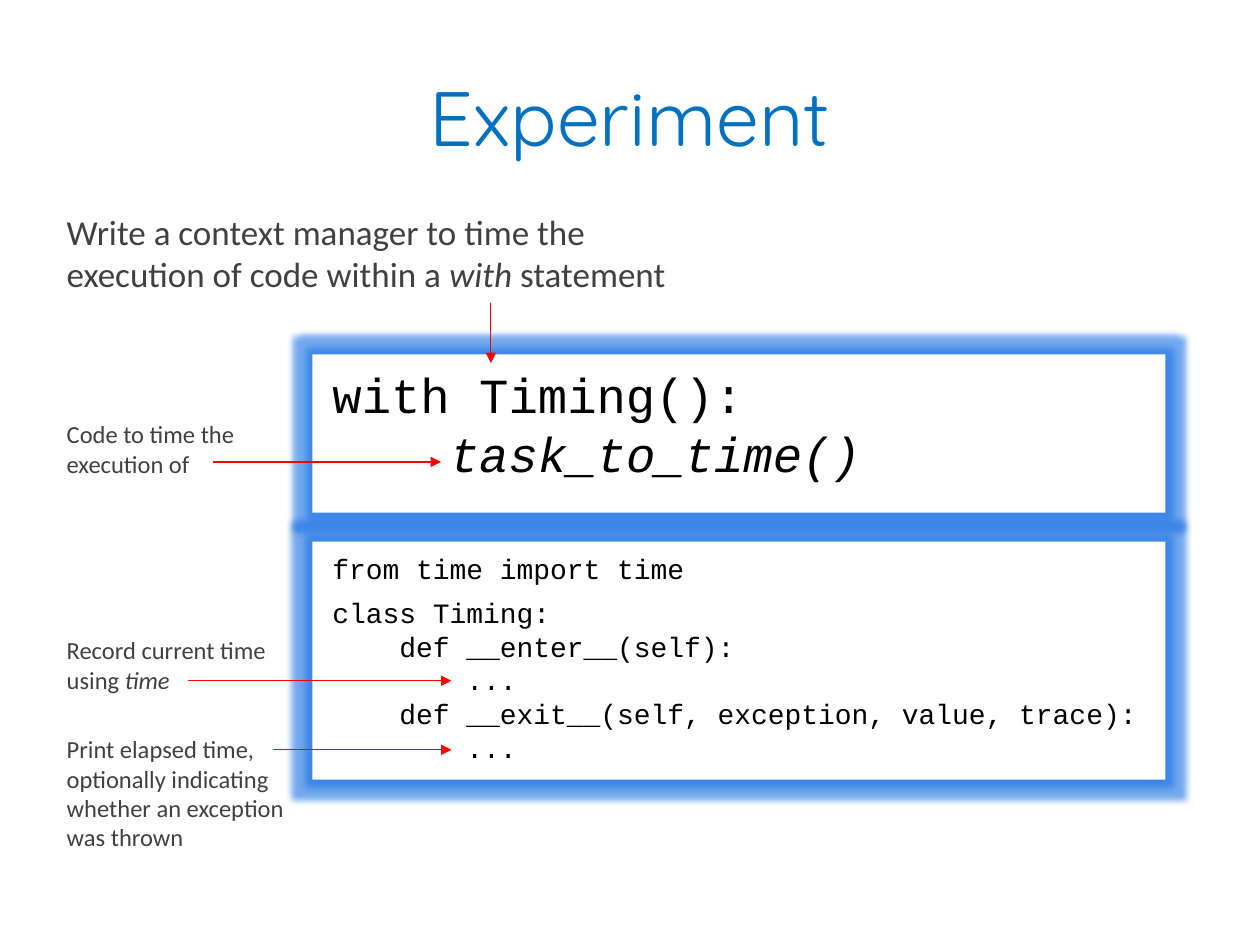
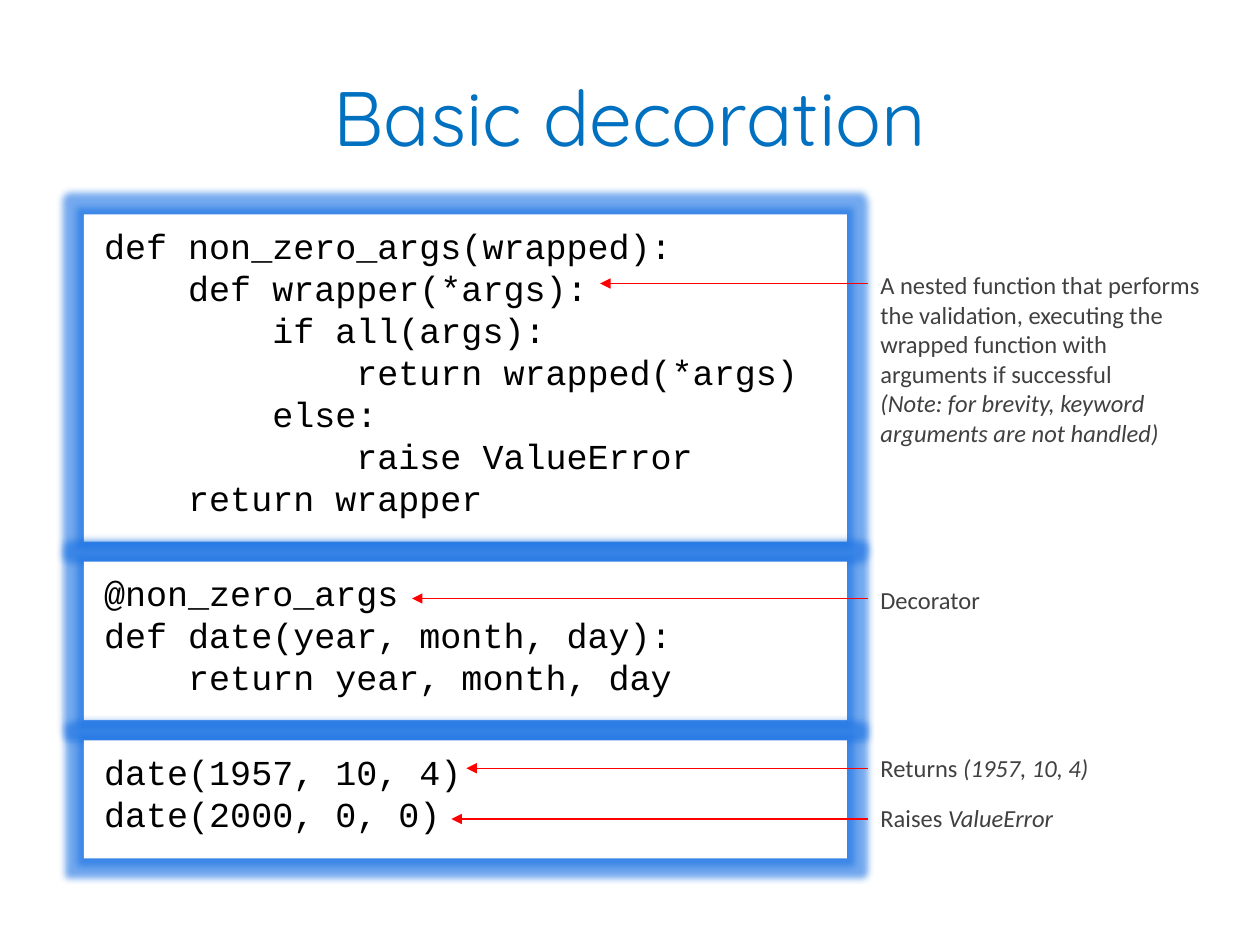
from dataclasses import dataclass

from lxml.etree import SubElement
from pptx import Presentation
from pptx.dml.color import RGBColor
from pptx.enum.shapes import MSO_CONNECTOR, MSO_SHAPE
from pptx.enum.text import MSO_ANCHOR, MSO_AUTO_SIZE, PP_ALIGN
from pptx.oxml import parse_xml
from pptx.oxml.ns import nsdecls, qn
from pptx.util import Pt


@dataclass(frozen=True)
class Theme:
    title_color: str = "0070C0"
    note_color: str = "404040"
    code_color: str = "000000"
    box_fill: str = "FFFFFF"
    glow_color: str = "1770E3"
    arrow_color: str = "FF0000"
    title_font: str = "Quicksand"
    note_font: str = "Calibri"
    code_font: str = "Courier New"
    title_size: float = 44
    lead_size: float = 20
    note_size: float = 14
    line_height: float = 1.2


@dataclass(frozen=True)
class Italic:
    text: str


THEME = Theme()


def color(value):
    return RGBColor.from_string(value)


def fill_paragraph(paragraph, runs, font, size, text_color):
    """Add the runs, each a string or an Italic, to the paragraph."""
    for part in runs:
        run = paragraph.add_run()
        run.text = part.text if isinstance(part, Italic) else part
        run.font.name = font
        run.font.size = Pt(size)
        run.font.color.rgb = color(text_color)
        if isinstance(part, Italic):
            run.font.italic = True


def fill_frame(frame, paragraphs, font, size, text_color):
    frame.word_wrap = True
    for index, runs in enumerate(paragraphs):
        paragraph = frame.add_paragraph() if index else frame.paragraphs[0]
        paragraph.alignment = PP_ALIGN.LEFT
        paragraph.line_spacing = Pt(size * THEME.line_height)
        fill_paragraph(paragraph, runs, font, size, text_color)


def add_title(slide, text):
    frame = slide.shapes.add_textbox(Pt(36), Pt(21), Pt(648), Pt(90)).text_frame
    frame.word_wrap = True
    frame.vertical_anchor = MSO_ANCHOR.MIDDLE
    paragraph = frame.paragraphs[0]
    paragraph.alignment = PP_ALIGN.CENTER
    fill_paragraph(paragraph, [text], THEME.title_font, THEME.title_size,
                   THEME.title_color)


def add_note(slide, left, top, width, height, paragraphs, size=THEME.note_size):
    box = slide.shapes.add_textbox(Pt(left), Pt(top), Pt(width), Pt(height))
    fill_frame(box.text_frame, paragraphs, THEME.note_font, size,
               THEME.note_color)
    box.text_frame.auto_size = MSO_AUTO_SIZE.SHAPE_TO_FIT_TEXT


def add_glow(shape):
    properties = shape.element.spPr
    for effects in properties.findall(qn("a:effectLst")):
        properties.remove(effects)
    properties.append(parse_xml(
        f'<a:effectLst {nsdecls("a")}><a:glow rad="{Pt(8)}">'
        f'<a:srgbClr val="{THEME.glow_color}"><a:alpha val="60000"/></a:srgbClr>'
        '</a:glow></a:effectLst>'))


def add_code(slide, left, top, width, height, size, lines):
    """Add a glowing code box and return its text frame."""
    box = slide.shapes.add_shape(MSO_SHAPE.RECTANGLE, Pt(left), Pt(top),
                                 Pt(width), Pt(height))
    box.fill.solid()
    box.fill.fore_color.rgb = color(THEME.box_fill)
    box.line.fill.background()
    add_glow(box)
    frame = box.text_frame
    frame.vertical_anchor = MSO_ANCHOR.TOP
    frame.margin_left = frame.margin_right = Pt(11.5)
    frame.margin_top = frame.margin_bottom = Pt(5.75)
    fill_frame(frame, lines, THEME.code_font, size, THEME.code_color)
    return frame


def add_arrow(slide, start_x, start_y, end_x, end_y):
    arrow = slide.shapes.add_connector(
        MSO_CONNECTOR.STRAIGHT, Pt(start_x), Pt(start_y), Pt(end_x), Pt(end_y))
    arrow.line.color.rgb = color(THEME.arrow_color)
    arrow.line.width = Pt(0.75)
    properties = arrow.element.spPr
    SubElement(properties.find(qn("a:ln")), qn("a:tailEnd"), type="triangle")
    SubElement(properties, qn("a:effectLst"))


def add_blank_slide(presentation, title):
    slide = presentation.slides.add_slide(presentation.slide_layouts[6])
    add_title(slide, title)
    return slide


def build_experiment(presentation):
    slide = add_blank_slide(presentation, "Experiment")
    code_left, code_width = 178.5, 487.5
    timing_class = add_code(slide, code_left, 309.5, code_width, 136, 16, [
        ["from time import time"],
        ["class Timing:"],
        ["    def __enter__(self):"],
        ["        ..."],
        ["    def __exit__(self, exception, value, trace):"],
        ["        ..."],
    ])
    timing_class.paragraphs[1].space_before = Pt(6)
    add_code(slide, code_left, 202.5, code_width, 90.5, 28, [
        ["with Timing():"],
        ["    ", Italic("task_to_time()")],
    ])

    note_left, note_width = 31, 153.5
    add_note(slide, note_left, 116.5, 391, 55.5, [[
        "Write a context manager to time the execution of code within a ",
        Italic("with"), " statement"]], THEME.lead_size)
    notes = [
        (236, 41, ["Code to time the execution of"]),
        (359.5, 41, ["Record current time using ", Italic("time")]),
        (416, 75, ["Print elapsed time, optionally indicating whether "
                   "an exception was thrown"]),
    ]
    for top, height, runs in notes:
        add_note(slide, note_left, top, note_width, height, [runs])

    add_arrow(slide, 280.5, 173, 280.5, 207.5)
    for start_x, end_x, y in [(121.5, 252, 264), (107.5, 258, 389),
                              (156, 258, 428.5)]:
        add_arrow(slide, start_x, y, end_x, y)


def build_decoration(presentation):
    slide = add_blank_slide(presentation, "Basic decoration")
    code_boxes = [
        (187, [
            "def non_zero_args(wrapped):",
            "    def wrapper(*args):",
            "        if all(args):",
            "            return wrapped(*args)",
            "        else:",
            "            raise ValueError",
            "    return wrapper",
        ]),
        (90.5, [
            "@non_zero_args",
            "def date(year, month, day):",
            "    return year, month, day",
        ]),
        (67.5, [
            "date(1957, 10, 4)",
            "date(2000, 0, 0)",
        ]),
    ]
    top, gap = 122.5, 11.5
    for height, lines in code_boxes:
        add_code(slide, 48, top, 436, height, 20, [[line] for line in lines])
        top += height + gap

    note_left, note_width = 496, 204
    notes = [
        (151, 109, 162, 343, [
            ["A nested function that performs the validation, executing the "
             "wrapped function with arguments if successful"],
            [Italic("(Note: for brevity, keyword arguments are not handled)")],
        ]),
        (331, 24, 342, 235.5, [["Decorator"]]),
        (427, 24, 439, 266.5, [["Returns ", Italic("(1957, 10, 4)")]]),
        (455.5, 24, 468, 258, [["Raises ", Italic("ValueError")]]),
    ]
    for top, height, arrow_y, arrow_end, paragraphs in notes:
        add_note(slide, note_left, top, note_width, height, paragraphs)
        add_arrow(slide, note_left, arrow_y, arrow_end, arrow_y)


def main():
    presentation = Presentation()
    presentation.slide_width = Pt(720)
    presentation.slide_height = Pt(540)
    build_experiment(presentation)
    build_decoration(presentation)
    presentation.save("out.pptx")


if __name__ == "__main__":
    main()
